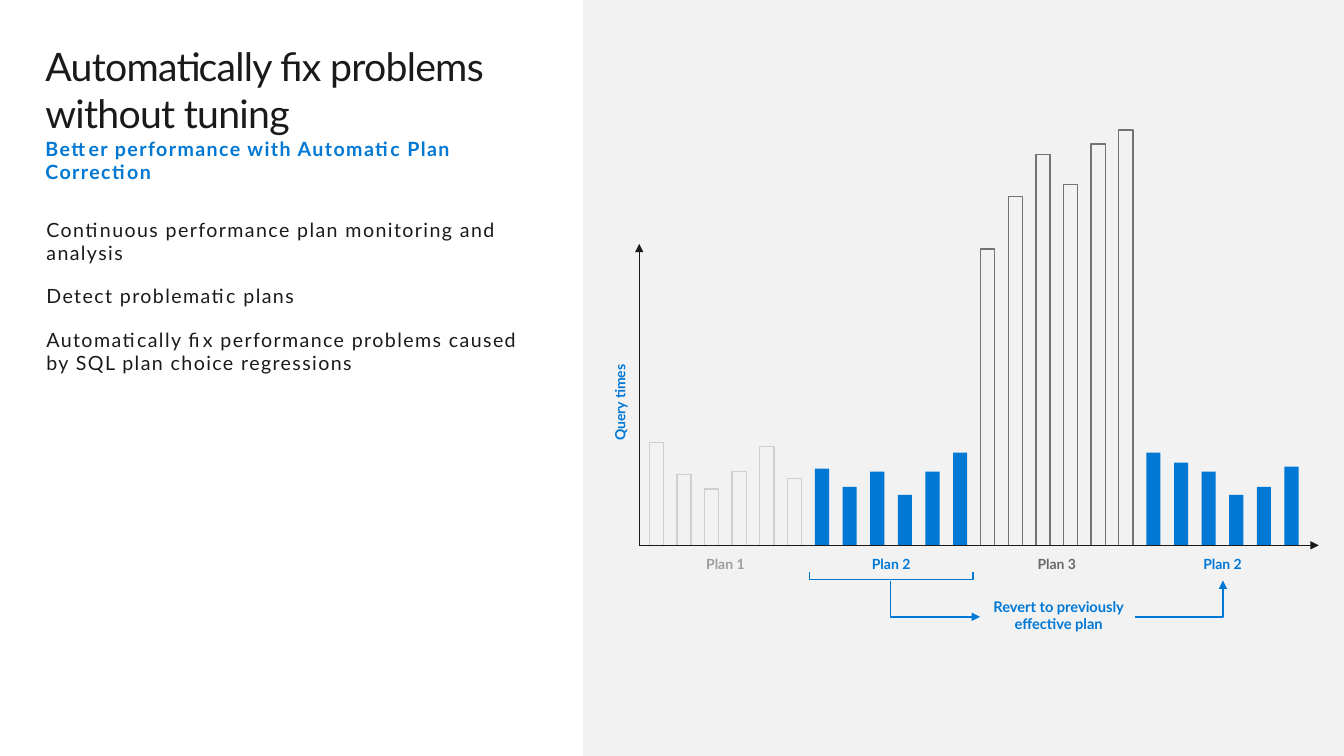
"""Build the slide on automatic plan correction with its query-time bars."""
from lxml.etree import SubElement
from pptx import Presentation
from pptx.dml.color import RGBColor
from pptx.enum.shapes import MSO_CONNECTOR as Connector, MSO_SHAPE as Shape
from pptx.enum.text import MSO_ANCHOR as Anchor, MSO_AUTO_SIZE as AutoSize, PP_ALIGN as Align
from pptx.oxml.ns import qn
from pptx.util import Inches, Pt

WIDTH, HEIGHT = 13.33, 7.5
INK, BLUE, LABEL_BLUE, PANEL = "1A1A1A", "0078D4", "0078D7", "F2F2F2"

HEADING = {"size": 28, "color": INK, "spacing": -0.5}
SUBHEADING = {"size": 14, "color": BLUE, "spacing": 1, "bold": True}
BODY = {"size": 14, "color": INK, "spacing": 1, "before": 14}
LABEL = {"size": 10, "color": LABEL_BLUE, "bold": True, "align": Align.CENTER}

TITLE = [
    ("Automatically fix problems without tuning", HEADING),
    ("Better performance with Automatic Plan Correction", SUBHEADING),
]
POINTS = [
    "Continuous performance plan monitoring and analysis",
    "Detect problematic plans",
    "Automatically fix performance problems caused by SQL plan choice regressions",
]
PLANS = [
    ("Plan 1", "9E9E9E", None, "CFCFCF", [1.02, 0.7, 0.56, 0.73, 0.98, 0.66]),
    ("Plan 2", LABEL_BLUE, BLUE, None, [0.76, 0.58, 0.73, 0.5, 0.73, 0.92]),
    ("Plan 3", "696969", None, "737373", [2.94, 3.46, 3.88, 3.58, 3.98, 4.12]),
    ("Plan 2", LABEL_BLUE, BLUE, None, [0.92, 0.82, 0.73, 0.5, 0.58, 0.78]),
]

ORIGIN_X, BASE_Y = 6.34, 5.41
AXIS_ENDS = [(ORIGIN_X, 2.42), (13.08, BASE_Y)]
FIRST_BAR, LAST_BAR, BAR_WIDTH = 6.44, 12.74, 0.14
BAR_STEP = (LAST_BAR - FIRST_BAR) / (sum(len(plan[-1]) for plan in PLANS) - 1)
FLOW_TOP, FLOW_Y = 5.76, 6.12
FLOWS = [
    ([(8.83, FLOW_TOP), (8.83, FLOW_Y), (9.72, FLOW_Y)], True),
    ([(11.26, FLOW_Y), (12.13, FLOW_Y), (12.13, FLOW_TOP)], True),
    ([(9.65, 5.68), (9.65, 5.75), (8.03, 5.75), (8.03, 5.68)], False),
]


def rgb(color):
    return RGBColor.from_string(color)


def write(box, paragraphs, margins=(0.16, 0.1), wrap=True):
    frame = box.text_frame
    side, top = (Inches(margin) for margin in margins)
    settings = {"word_wrap": wrap, "auto_size": AutoSize.NONE, "vertical_anchor": Anchor.TOP,
                "margin_left": side, "margin_right": side, "margin_top": top, "margin_bottom": top}
    for name, value in settings.items():
        setattr(frame, name, value)
    for index, (text, style) in enumerate(paragraphs):
        para = frame.add_paragraph() if index else frame.paragraphs[0]
        para.text = text
        para.alignment = style.get("align", Align.LEFT)
        para.space_before = Pt(style.get("before", 0) if index else 0)
        for span in para.runs:
            font = {"name": "Lato", "size": Pt(style["size"]), "bold": style.get("bold", False)}
            for name, value in font.items():
                setattr(span.font, name, value)
            span.font.color.rgb = rgb(style["color"])
            if "spacing" in style:
                span.font._element.set("spc", str(int(style["spacing"] * 100)))


def add_text(page, area, paragraphs, **options):
    box = page.shapes.add_textbox(*map(Inches, area))
    write(box, paragraphs, **options)
    return box


def add_label(page, center, top, extent, text, **style):
    width, height = extent
    return add_text(page, (center - width / 2, top, width, height), [(text, LABEL | style)],
                    margins=(0.1, 0.05), wrap=False)


def add_rectangle(page, area, fill=None, line=None):
    box = page.shapes.add_shape(Shape.RECTANGLE, *map(Inches, area))
    box.shadow.inherit = False
    for target, color in ((box.fill, fill), (box.line.fill, line)):
        if color:
            target.solid()
            target.fore_color.rgb = rgb(color)
        else:
            target.background()
    if line:
        box.line.width = Pt(1)


def style_line(shape, color, arrow):
    shape.line.color.rgb = rgb(color)
    shape.line.width = Pt(1)
    if arrow:
        SubElement(shape.line._get_or_add_ln(), qn("a:tailEnd"), type="triangle")


def add_axis(page, end):
    ends = map(Inches, (ORIGIN_X, BASE_Y, *end))
    axis = page.shapes.add_connector(Connector.STRAIGHT, *ends)
    style_line(axis, INK, True)
    SubElement(axis._element.spPr, qn("a:effectLst"))


def add_flow(page, points, arrow):
    start, *rest = [(Inches(x), Inches(y)) for x, y in points]
    builder = page.shapes.build_freeform(*start)
    builder.add_line_segments(rest, close=False)
    flow = builder.convert_to_shape()
    flow.shadow.inherit = False
    flow.fill.background()
    style_line(flow, BLUE, arrow)


def add_plans(page):
    left = FIRST_BAR
    for name, label_color, fill, line, heights in PLANS:
        for index, height in enumerate(heights):
            area = (left + index * BAR_STEP, BASE_Y - height, BAR_WIDTH, height)
            add_rectangle(page, area, fill, line)
        center = left + ((len(heights) - 1) * BAR_STEP + BAR_WIDTH) / 2
        add_label(page, center, 5.46, (0.62, 0.27), name, color=label_color)
        left += len(heights) * BAR_STEP


def main():
    deck = Presentation()
    deck.slide_width, deck.slide_height = Inches(WIDTH), Inches(HEIGHT)
    page = deck.slides.add_slide(deck.slide_layouts[5])
    title = page.shapes.title
    for name, value in zip(("left", "top", "width", "height"), (0.29, 0.32, 5.22, 1.14)):
        setattr(title, name, Inches(value))
    write(title, TITLE)
    add_rectangle(page, (5.78, 0, WIDTH - 5.78, HEIGHT), PANEL)
    add_text(page, (0.3, 2.06, 5.11, 1.77), [(point, BODY) for point in POINTS])
    add_plans(page)
    for end in AXIS_ENDS:
        add_axis(page, end)
    add_label(page, 6.15, 3.86, (1.02, 0.27), "Query times").rotation = 270
    add_label(page, 10.5, 5.88, (1.62, 0.46), "Revert to previously\veffective plan", size=10.5)
    for points, arrow in FLOWS:
        add_flow(page, points, arrow)
    deck.save("out.pptx")


if __name__ == "__main__":
    main()
